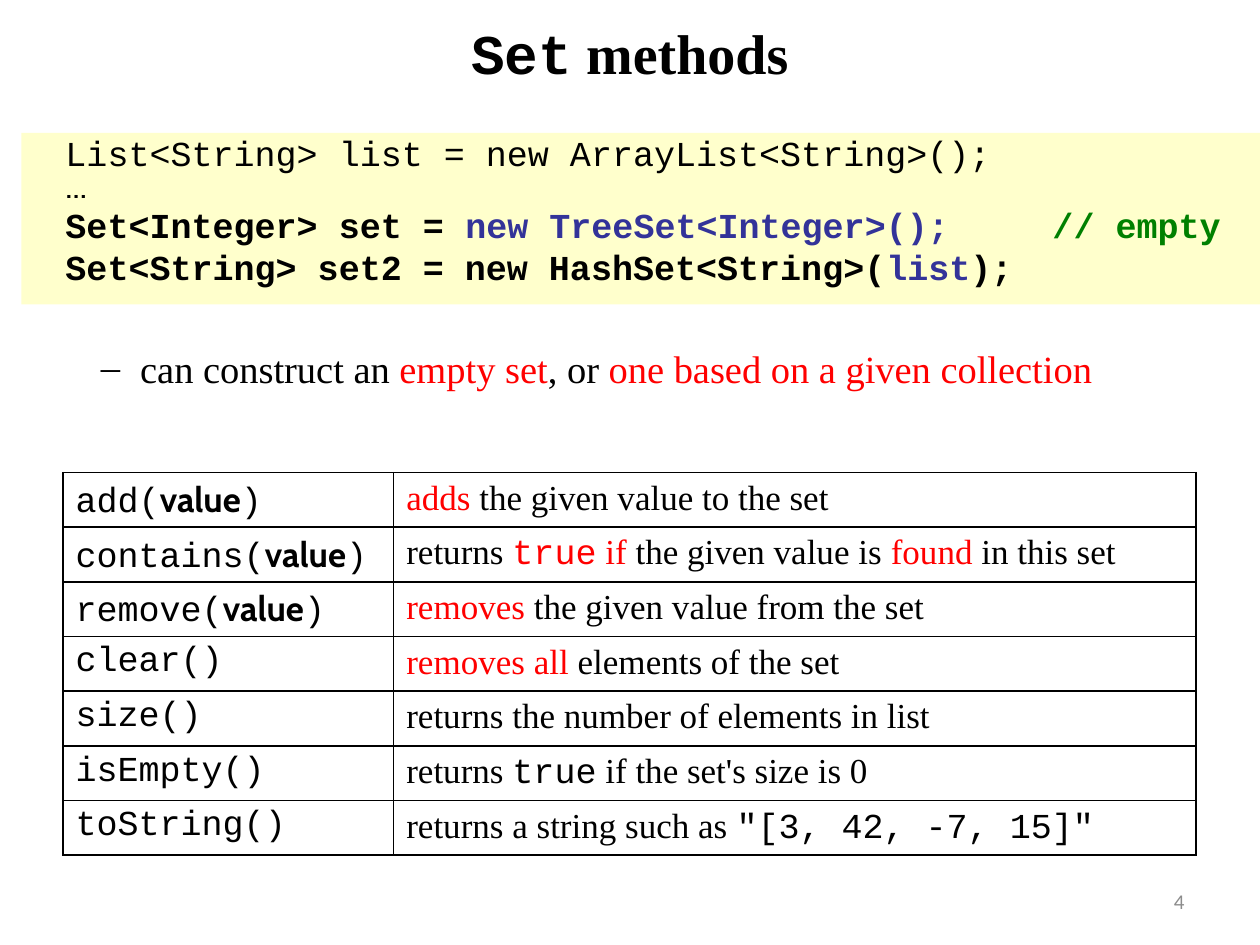
from dataclasses import dataclass
from typing import NamedTuple

import lxml.etree
import pptx
import pptx.dml.color
import pptx.enum.shapes
import pptx.enum.text
import pptx.oxml
import pptx.oxml.ns
import pptx.util

Pt = pptx.util.Pt
ALIGN = pptx.enum.text.PP_ALIGN
ANCHOR = pptx.enum.text.MSO_ANCHOR
qn = pptx.oxml.ns.qn


@dataclass(frozen=True)
class Theme:
    mono: str = "Courier New"
    serif: str = "Times New Roman"
    accent: str = "Cabin"
    number: str = "Calibri"
    black: str = "000000"
    red: str = "FF0000"
    blue: str = "333399"
    green: str = "008000"
    grey: str = "8C8C8C"
    code_fill: str = "FFFFCC"
    title_size: float = 32
    point_size: float = 22
    body_size: float = 20
    number_size: float = 12


THEME = Theme()


class Span(NamedTuple):
    text: str
    font: str = THEME.serif
    color: str = THEME.black
    bold: bool = False


class CodeLine(NamedTuple):
    spans: list[Span]
    spacing: float = 0.8


class Method(NamedTuple):
    name: str
    argument: str
    description: list[Span]


def code(text: str, color: str = THEME.black, bold: bool = True) -> Span:
    return Span(text, THEME.mono, color, bold)


def red(text: str) -> Span:
    return Span(text, color=THEME.red)


CODE = [
    CodeLine([code("List<String> list = new ArrayList<String>();", bold=False)]),
    CodeLine([Span("...", THEME.accent)], 0.5),
    CodeLine([code("Set<Integer> set = "),
              code("new TreeSet<Integer>();\t", THEME.blue),
              code("// empty", THEME.green)]),
    CodeLine([code("Set<String> set2 = new HashSet<String>("),
              code("list", THEME.blue), code(");")]),
]

METHODS = [
    Method("add", "value", [red("adds"), Span(" the given value to the set")]),
    Method("contains", "value", [
        Span("returns "), Span("true", THEME.mono, THEME.red), red(" if "),
        Span("the given value is "), red("found"), Span(" in this set")]),
    Method("remove", "value", [red("removes"), Span(" the given value from the set")]),
    Method("clear", "", [red("removes all "), Span("elements of the set")]),
    Method("size", "", [Span("returns the number of elements in list")]),
    Method("isEmpty", "", [Span("returns "), Span("true", THEME.mono),
                           Span(" if the set's size is 0")]),
    Method("toString", "", [Span("returns a string such as "),
                            Span('"[3, 42, -7, 15]"', THEME.mono)]),
]


def rgb(color: str) -> pptx.dml.color.RGBColor:
    return pptx.dml.color.RGBColor.from_string(color)


def write(para, spans: list[Span], size: float) -> None:
    for span in spans:
        run = para.add_run()
        run.text = span.text
        run.font.name = span.font
        run.font.size = Pt(size)
        run.font.bold = span.bold
        run.font.color.rgb = rgb(span.color)


def add_text_box(page, left: float, top: float, width: float, height: float):
    box = page.shapes.add_textbox(Pt(left), Pt(top), Pt(width), Pt(height))
    box.text_frame.word_wrap = True
    return box


def add_title(page) -> None:
    title = page.shapes.title
    title.left, title.top, title.width, title.height = Pt(36), Pt(0), Pt(648), Pt(60)
    frame = title.text_frame
    frame.auto_size = pptx.enum.text.MSO_AUTO_SIZE.NONE
    frame.vertical_anchor = ANCHOR.MIDDLE
    para = frame.paragraphs[0]
    para.alignment = ALIGN.CENTER
    write(para, [code("Set"), Span(" methods", bold=True)], THEME.title_size)


def add_code_panel(page, lines: list[CodeLine]) -> None:
    panel = page.shapes.add_shape(pptx.enum.shapes.MSO_SHAPE.RECTANGLE,
                                  Pt(12.25), Pt(76), Pt(707.75), Pt(98))
    panel.shadow.inherit = False
    panel.fill.solid()
    panel.fill.fore_color.rgb = rgb(THEME.code_fill)
    panel.line.fill.background()
    frame = panel.text_frame
    frame.vertical_anchor = ANCHOR.TOP
    frame.margin_left = Pt(25.2)
    for index, line in enumerate(lines):
        para = frame.add_paragraph() if index else frame.paragraphs[0]
        para.alignment = ALIGN.LEFT
        para.line_spacing = line.spacing
        para.space_before = Pt(5)
        # The comment starts at column 47 of 12-point characters
        properties = para._p.get_or_add_pPr()
        stops = lxml.etree.SubElement(properties, qn("a:tabLst"))
        lxml.etree.SubElement(stops, qn("a:tab"), pos=str(Pt(47 * 12)), algn="l")
        write(para, line.spans, THEME.body_size)


def add_point(page) -> None:
    box = add_text_box(page, 24, 193.5, 696, 36)
    para = box.text_frame.paragraphs[0]
    properties = para._p.get_or_add_pPr()
    properties.set("marL", str(Pt(49)))
    properties.set("indent", str(Pt(-22.5)))
    lxml.etree.SubElement(properties, qn("a:buFont"), typeface=THEME.serif)
    lxml.etree.SubElement(properties, qn("a:buChar"), char="–")
    write(para, [Span("can construct an "), red("empty set"), Span(", or "),
                 red("one based on a given collection")], THEME.point_size)


def add_borders(cell) -> None:
    properties = cell._tc.get_or_add_tcPr()
    for index, side in enumerate(("lnL", "lnR", "lnT", "lnB")):
        line = lxml.etree.Element(qn(f"a:{side}"), w=str(Pt(1)))
        fill = lxml.etree.SubElement(line, qn("a:solidFill"))
        lxml.etree.SubElement(fill, qn("a:srgbClr"), val=THEME.black)
        properties.insert(index, line)


def add_method_table(page, methods: list[Method]) -> None:
    row_height = 31.2
    widths = (189, 458.5)
    table = page.shapes.add_table(len(methods), len(widths), Pt(36), Pt(270),
                                  Pt(sum(widths)), Pt(row_height * len(methods))).table
    table.first_row = False
    table.horz_banding = False
    for column, width in zip(table.columns, widths):
        column.width = Pt(width)
    for row, method in zip(table.rows, methods):
        row.height = Pt(row_height)
        signature = [Span(f"{method.name}()", THEME.mono)]
        if method.argument:
            signature = [Span(f"{method.name}(", THEME.mono),
                         Span(method.argument, THEME.accent, bold=True),
                         Span(")", THEME.mono)]
        for cell, spans in zip(row.cells, (signature, method.description)):
            cell.fill.background()
            add_borders(cell)
            write(cell.text_frame.paragraphs[0], spans, THEME.body_size)


def add_page_number(page, number: int) -> None:
    box = add_text_box(page, 516, 500.5, 168, 28.75)
    box.text_frame.vertical_anchor = ANCHOR.MIDDLE
    para = box.text_frame.paragraphs[0]
    para.alignment = ALIGN.RIGHT
    write(para, [Span(str(number), THEME.number, THEME.grey)], THEME.number_size)


def main() -> None:
    deck = pptx.Presentation()
    deck.slide_width, deck.slide_height = Pt(720), Pt(540)
    page = deck.slides.add_slide(deck.slide_layouts.get_by_name("Title Only"))
    add_title(page)
    add_code_panel(page, CODE)
    add_point(page)
    add_method_table(page, METHODS)
    add_page_number(page, 4)
    deck.save("out.pptx")


if __name__ == "__main__":
    main()
